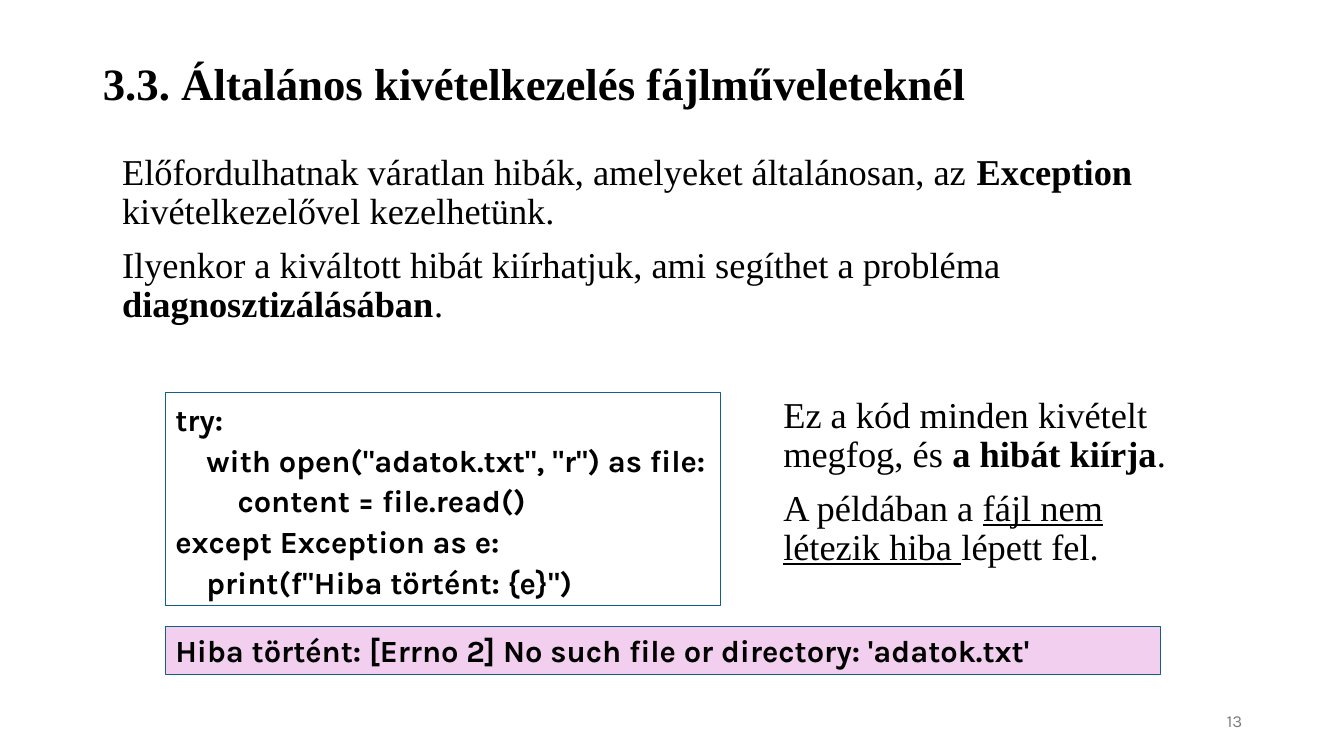
from lxml.etree import SubElement
from pptx import Presentation
from pptx.dml.color import RGBColor
from pptx.enum.shapes import MSO_SHAPE
from pptx.enum.text import MSO_ANCHOR, MSO_AUTO_SIZE, PP_ALIGN
from pptx.oxml.ns import qn
from pptx.util import Inches, Pt

BLACK = RGBColor(0x00, 0x00, 0x00)
GREY = RGBColor(0x79, 0x79, 0x79)
TEAL = RGBColor(0x15, 0x60, 0x82)
PINK = RGBColor(0xF2, 0xCF, 0xEE)
SERIF = "Times New Roman"
SANS = "Karla"
PLAIN, BOLD, UNDERLINED = {}, {"bold": True}, {"underline": True}

CODE = '''try:
    with open("adatok.txt", "r") as file:
        content = file.read()
except Exception as e:
    print(f"Hiba történt: {e}")'''


class SlideBuilder:
    def __init__(self, deck):
        self.deck = deck
        self.slide = deck.slides.add_slide(deck.slide_layouts[1])

    def area(self, left, top, width, height):
        across, down = self.deck.slide_width / 100, self.deck.slide_height / 100
        return [round(n) for n in (left * across, top * down, width * across, height * down)]

    def place(self, placeholder, percents):
        (placeholder.left, placeholder.top,
         placeholder.width, placeholder.height) = self.area(*percents)
        return placeholder

    def typeset(self, frame, paragraphs, size, font, color=BLACK, bold=None,
                align=PP_ALIGN.LEFT, spacing=1.0, gap=0, anchor=MSO_ANCHOR.TOP):
        frame.word_wrap = True
        frame.auto_size = MSO_AUTO_SIZE.NONE
        frame.vertical_anchor = anchor
        for index, pieces in enumerate(paragraphs):
            paragraph = frame.add_paragraph() if index else frame.paragraphs[0]
            properties = paragraph._p.get_or_add_pPr()
            properties.set("marL", "0")
            properties.set("indent", "0")
            SubElement(properties, qn("a:buNone"))
            paragraph.alignment = align
            paragraph.line_spacing = spacing
            paragraph.space_before = Pt(gap if index else 0)
            paragraph.font.size = Pt(size)
            paragraph.font.name = font
            paragraph.font.bold = bold
            paragraph.font.color.rgb = color
            for text, emphasis in pieces:
                run = paragraph.add_run()
                run.text = text
                run.font.bold = emphasis.get("bold")
                run.font.underline = emphasis.get("underline")

    def title(self, text, percents):
        heading = self.place(self.slide.shapes.title, percents)
        self.typeset(heading.text_frame, [[(text, PLAIN)]], 32, SERIF, bold=True,
                     spacing=0.9, anchor=MSO_ANCHOR.MIDDLE)

    def body(self, paragraphs, percents):
        explanation = self.place(self.slide.placeholders[1], percents)
        self.typeset(explanation.text_frame, paragraphs, 26, SERIF, spacing=0.9, gap=10)

    def note(self, paragraphs, percents):
        remark = self.slide.shapes.add_textbox(*self.area(*percents))
        self.typeset(remark.text_frame, paragraphs, 26, SERIF, spacing=0.9, gap=10)

    def page_number(self, number, percents):
        footer = self.slide.shapes.add_textbox(*self.area(*percents))
        self.typeset(footer.text_frame, [[(number, PLAIN)]], 12, SANS, GREY,
                     align=PP_ALIGN.RIGHT, anchor=MSO_ANCHOR.MIDDLE)

    def code_panel(self, code, percents, fill=None, spacing=1.0):
        panel = self.slide.shapes.add_shape(MSO_SHAPE.RECTANGLE, *self.area(*percents))
        panel.shadow.inherit = False
        if fill is None:
            panel.fill.background()
        else:
            panel.fill.solid()
            panel.fill.fore_color.rgb = fill
        panel.line.color.rgb = TEAL
        panel.line.width = Pt(0.75)
        self.typeset(panel.text_frame, [[(line, PLAIN)] for line in code.splitlines()],
                     22, SANS, bold=True, spacing=spacing)


def main():
    deck = Presentation()
    deck.slide_width, deck.slide_height = Inches(13.33), Inches(7.5)
    builder = SlideBuilder(deck)
    panel_left, example_top = 12.3, 51.87

    builder.title("3.3. Általános kivételkezelés fájlműveleteknél", (6.9, 5.33, 67.74, 12))
    builder.body([
        [("Előfordulhatnak váratlan hibák, amelyeket általánosan, az ", PLAIN),
         ("Exception", BOLD), (" kivételkezelővel kezelhetünk.", PLAIN)],
        [("Ilyenkor a kiváltott hibát kiírhatjuk, ami segíthet a probléma ", PLAIN),
         ("diagnosztizálásában", BOLD), (".", PLAIN)],
    ], (8.33, 19.73, 81.92, 23.6))
    builder.page_number("13", (70.67, 92.67, 22.5, 5.33))
    builder.code_panel(CODE, (panel_left, example_top, 41.34, 28.27), spacing=1.1)
    builder.note([
        [("Ez a kód minden kivételt megfog, és ", PLAIN),
         ("a hibát kiírja", BOLD), (".", PLAIN)],
        [("A példában a ", PLAIN), ("fájl nem létezik hiba ", UNDERLINED),
         ("lépett fel.", PLAIN)],
    ], (57.54, example_top, 31.96, 24.27))
    builder.code_panel("Hiba történt: [Errno 2] No such file or directory: 'adatok.txt'",
                       (panel_left, 82.93, 74.04, 6.27), fill=PINK)
    deck.save("out.pptx")


if __name__ == "__main__":
    main()
